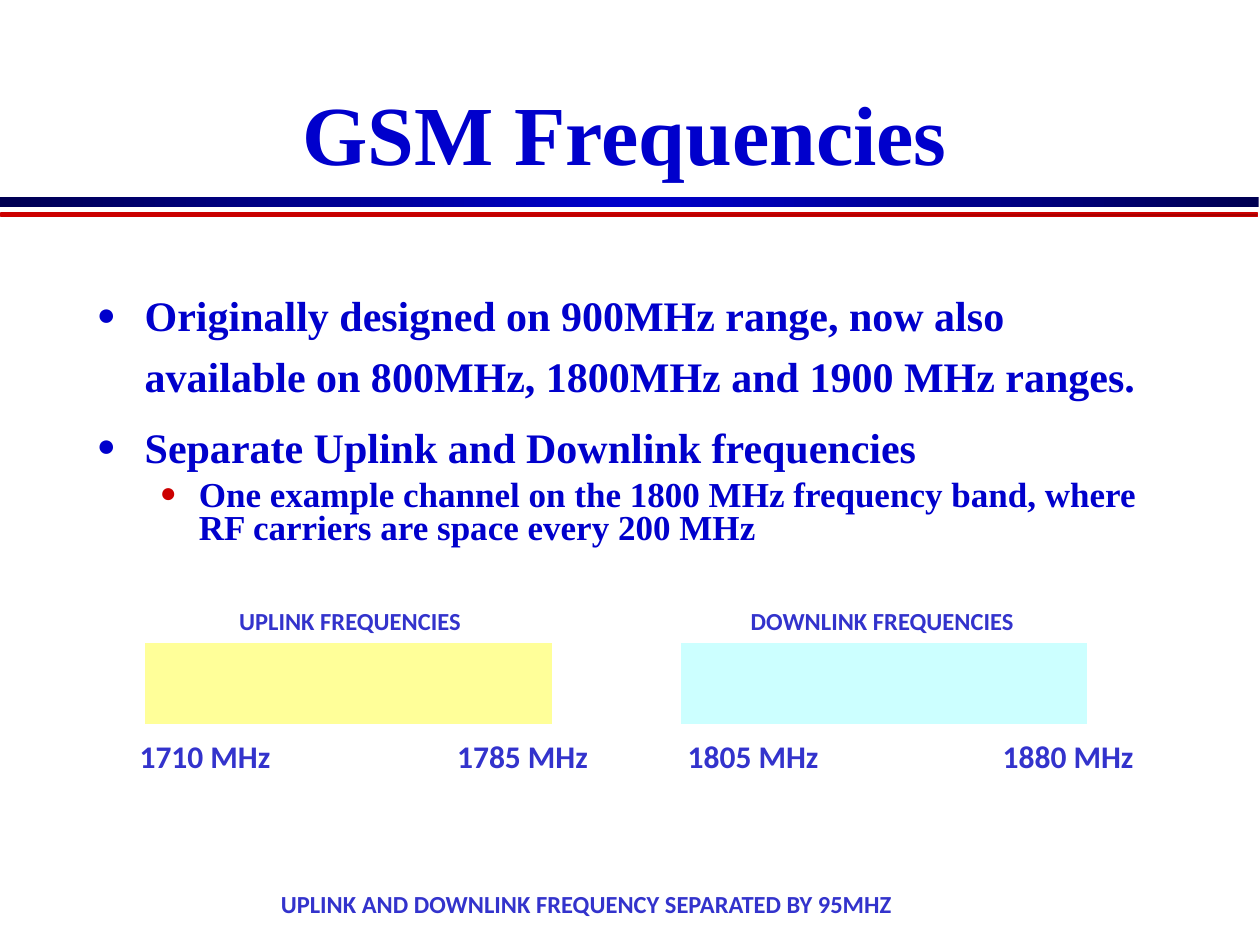
import pptx
import pptx.util
import pptx.dml.color
import pptx.enum.dml
import pptx.enum.shapes
import pptx.enum.text
import pptx.oxml
import pptx.oxml.ns

Inches = pptx.util.Inches
Pt = pptx.util.Pt
SHAPE = pptx.enum.shapes.MSO_SHAPE
ALIGN = pptx.enum.text.PP_ALIGN
ANCHOR = pptx.enum.text.MSO_ANCHOR
NS = pptx.oxml.ns.nsdecls("a")
BLUE, RED, LABEL, WHITE = "0000CC", "CC0000", "3333CC", "FFFFFF"


def rgb(value):
    return pptx.dml.color.RGBColor.from_string(value)


def add_xml(parent, xml):
    parent.append(pptx.oxml.parse_xml(xml))


def add_box(slide, box, wrap=True, anchor=ANCHOR.TOP):
    tf = slide.shapes.add_textbox(*map(Inches, box)).text_frame
    tf.word_wrap = wrap
    tf.vertical_anchor = anchor
    return tf


def write(p, text, size=18, font="Calibri", color=LABEL, align=ALIGN.LEFT):
    p.alignment = align
    r = p.add_run()
    r.text = text
    r.font.size = Pt(size)
    r.font.name = font
    r.font.bold = True
    r.font.color.rgb = rgb(color)


def add_label(slide, box, text, size=18):
    tf = add_box(slide, box, wrap=False)
    write(tf.paragraphs[0], text, size=size)


def add_shape(slide, kind, box, fill=None, line=None, width=1.75):
    sp = slide.shapes.add_shape(kind, *map(Inches, box))
    sp.shadow.inherit = False
    if fill:
        sp.fill.solid()
        sp.fill.fore_color.rgb = rgb(fill)
    else:
        sp.fill.background()
    if line:
        sp.line.color.rgb = rgb(line)
        sp.line.width = Pt(width)
    else:
        sp.line.fill.background()
    return sp


def set_gradient(sp, colors):
    """Spread the colours evenly from left to right."""
    sp.fill.gradient()
    sp.fill.gradient_angle = 0
    stops = sp.element.spPr.find(".//" + pptx.oxml.ns.qn("a:gsLst"))
    for stop in list(stops):
        stops.remove(stop)
    for i, color in enumerate(colors):
        pos = i * 100000 // (len(colors) - 1)
        add_xml(stops, f'<a:gs {NS} pos="{pos}"><a:srgbClr val="{color}"/></a:gs>')


def add_header(slide, box):
    left, top, width, height = box
    # Blue band and red rule under the title
    bar = add_shape(slide, SHAPE.RECTANGLE, (0, 1.56, 9.99, 0.08))
    set_gradient(bar, ["000052", BLUE, "000052"])
    rule = add_shape(slide, SHAPE.RECTANGLE, (0.01, 1.69, 9.97, 0.03), line=RED, width=1)
    set_gradient(rule, [RED, "A30000"])
    tf = add_box(slide, (left, top, width, height), anchor=ANCHOR.BOTTOM)
    write(tf.paragraphs[0], "GSM Frequencies", size=48, font="Times New Roman",
          color=BLUE, align=ALIGN.CENTER)


def set_bullet(p, margin, indent, color, percent):
    pPr = p._p.get_or_add_pPr()
    pPr.set("marL", str(Inches(margin)))
    pPr.set("indent", str(Inches(indent)))
    add_xml(pPr, f'<a:buClr {NS}><a:srgbClr val="{color}"/></a:buClr>')
    add_xml(pPr, f'<a:buSzPct {NS} val="{percent * 1000}"/>')
    add_xml(pPr, f'<a:buFont {NS} typeface="Times New Roman"/>')
    add_xml(pPr, f'<a:buChar {NS} char="●"/>')


def add_bullets(slide, box):
    items = [
        (0, "Originally designed on 900MHz range, now also available on "
            "800MHz, 1800MHz and 1900 MHz ranges."),
        (0, "Separate Uplink and Downlink frequencies"),
        (1, "One example channel on the 1800 MHz frequency band, where "
            "RF carriers are space every 200 MHz"),
    ]
    # Per level: margin, indent, bullet colour, bullet %, size, line spacing, space before
    levels = [(0.38, -0.38, BLUE, 75, 24, 1.2, 6), (0.81, -0.31, RED, 80, 20, 0.8, 5)]
    tf = add_box(slide, box)
    for i, (level, text) in enumerate(items):
        margin, indent, color, percent, size, spacing, before = levels[level]
        p = tf.add_paragraph() if i else tf.paragraphs[0]
        p.level = level
        set_bullet(p, margin, indent, color, percent)
        p.line_spacing = spacing
        if i:
            p.space_before = Pt(before)
        write(p, text, size=size, font="Times New Roman", color=BLUE)


def add_dotted_line(slide, x1, x2, y):
    line = slide.shapes.add_connector(pptx.enum.shapes.MSO_CONNECTOR.STRAIGHT,
                                      *map(Inches, (x1, y, x2, y)))
    line.line.color.rgb = rgb(WHITE)
    line.line.width = Pt(1.75)
    line.line.dash_style = pptx.enum.dml.MSO_LINE.ROUND_DOT
    add_xml(line.element.spPr, f"<a:effectLst {NS}/>")


def add_bands(slide, box):
    left, top, width, height = box
    band_w = 3.25
    right = left + width - band_w
    # Band, title offset and width, then the label offset and text of each end
    bands = [
        (left, "FFFF99", "UPLINK FREQUENCIES", 0.66, 1.96,
         [(-0.13, "1710 MHz"), (2.39, "1785 MHz")]),
        (right, "CCFFFF", "DOWNLINK FREQUENCIES", 0.47, 2.29,
         [(-0.03, "1805 MHz"), (2.47, "1880 MHz")]),
    ]
    for x, fill, title, title_dx, title_w, ends in bands:
        add_shape(slide, SHAPE.RECTANGLE, (x, top, band_w, height), fill, WHITE)
        add_label(slide, (x + title_dx, top - 0.33, title_w, 0.34), title, size=14)
        for dx, text in ends:
            add_label(slide, (x + dx, top + height + 0.04, 1.24, 0.4), text)
    # Dotted edges across the gap
    for y in (top, top + height):
        add_dotted_line(slide, left + band_w - 0.08, right + 0.08, y)


def add_separation(slide, box):
    # Brace opening upwards over the separation note
    brace = add_shape(slide, SHAPE.RIGHT_BRACE, (2.97, 4.42, 0.75, 4.25), line=WHITE)
    brace.rotation = 90
    brace.adjustments[0] = 0.24
    add_label(slide, box, "UPLINK AND DOWNLINK FREQUENCY SEPARATED BY 95MHZ", size=14)


def main():
    prs = pptx.Presentation()
    prs.slide_width = Inches(10)
    prs.slide_height = Inches(7.5)
    slide = prs.slides.add_slide(prs.slide_layouts[6])
    add_header(slide, (0.67, 0.25, 8.58, 1.25))
    add_bullets(slide, (0.67, 2.17, 8.58, 4.5))
    add_bands(slide, (1.14, 5.09, 7.5, 0.67))
    add_separation(slide, (2.13, 7.01, 5.09, 0.34))
    prs.save("out.pptx")


if __name__ == "__main__":
    main()
